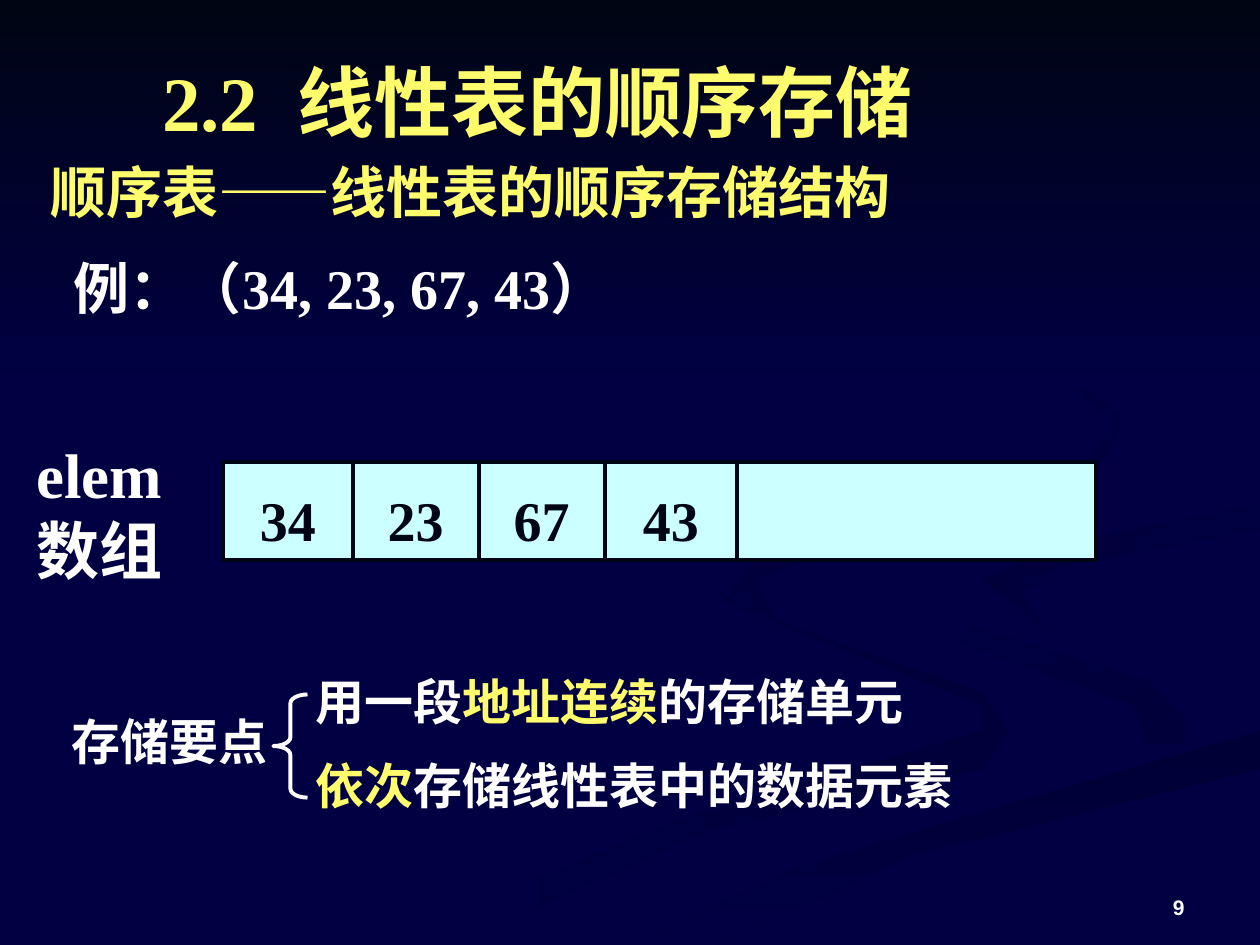
import pptx
import pptx.dml.color
import pptx.enum.shapes
import pptx.enum.text
import pptx.oxml
import pptx.oxml.ns
import pptx.util

Cm = pptx.util.Cm
Pt = pptx.util.Pt
SHAPES = pptx.enum.shapes.MSO_SHAPE
ALIGN = pptx.enum.text.PP_ALIGN
ANCHOR = pptx.enum.text.MSO_ANCHOR

THEME = {
    "night": "000042", "ink": "000514", "shade": "00003A", "deep": "000036",
    "white": "FFFFFF", "yellow": "FEFB6D", "cell": "CCFFFF",
    "serif": "Times New Roman", "sans": "Arial", "chinese": "Noto Sans CJK SC",
    "title": 44, "label": 36, "body": 32, "points": 28, "number": 12,
    "line": 2.25, "leading": 1.2,
}

# Each text: box in cm, type size, paragraphs of (text, colour, font) runs, options
TITLE = ((3.02, 1.09, 17.35, 1.85), "title",
         [[("2.2  线性表的顺序存储", "yellow", "serif")]], {"inset": (0.25, 0)})
SUBTITLE = ((0.76, 3.05, 20.96, 1.63), "body",
            [[("顺序表", "yellow", "chinese"), ("——", "yellow", "serif"),
              ("线性表的顺序存储结构", "yellow", "chinese")]], {})
EXAMPLE = ((1.24, 4.98, 13.72, 1.63), "body",
           [[("例：（34, 23, 67, 43）", "white", "serif")]], {})
ARRAY_LABEL = ((0.48, 8.66, 3.66, 3.3), "label",
               [[("elem", "white", "serif")], [("数组", "white", "serif")]], {"wrap": False})
POINTS_LABEL = ((1.19, 14.22, 4.45, 1.45), "points",
                [[("存储要点", "white", "sans")]], {"wrap": False})
POINTS = ((6.12, 13.41, 16.28, 3.15), "points",
          [[("用一段", "white", "sans"), ("地址连续", "yellow", "sans"), ("的存储单元", "white", "sans")],
           [("依次", "yellow", "sans"), ("存储线性表中的数据元素", "white", "sans")]], {"gap": 14.4})
PAGE_NUMBER = ((18.21, 17.35, 5.92, 1.32), "number", [[("9", "white", "sans")]],
               {"align": ALIGN.RIGHT, "anchor": ANCHOR.BOTTOM})

ARRAY_TOP, ARRAY_HEIGHT = 9.32, 1.98
ARRAY_EDGES = [4.5, 7.11, 9.65, 12.19, 14.86, 22.1]
ARRAY_VALUES = ["34", "23", "67", "43"]
VALUE_TOP = 9.65
BRACE = (5.51, 14, 0.69, 2.08)
SKY = (0, 0, 25.4, 7.82)

# Background swirls: gradient colours, angle, outline on a 100 by 75 grid
GRID_STEP = Cm(0.254)
SWIRLS = [
    (("night", "shade"), 0,
     [(78, 55), (58, 48), (57, 47), (63, 50), (78, 56), (78, 58), (54, 65), (30, 75),
      (36, 75), (56, 66), (78, 61), (80, 58)]),
    (("night", "shade"), 45,
     [(94, 57), (91, 54), (75, 49), (72, 46), (76, 51), (90, 56), (91, 59), (94, 59)]),
    (("deep", "night"), 90,
     [(50, 75), (57, 75), (72, 68), (100, 61), (100, 58), (76, 65), (63, 69)]),
    (("shade", "night"), 45,
     [(78, 46), (83, 50), (81, 47), (84, 45), (100, 42), (100, 40), (85, 43)]),
    (("shade", "night"), 45,
     [(68, 43), (86, 39), (89, 34), (76, 23), (89, 33), (86, 37), (61, 43), (58, 47),
      (62, 50), (60, 46)]),
]


def colour(name):
    return pptx.dml.color.RGBColor.from_string(THEME[name])


def place(box):
    return [Cm(length) for length in box]


def set_gradient(shape, stops, angle):
    shape.shadow.inherit = False
    shape.line.fill.background()
    shape.fill.gradient()
    shape.fill.gradient_angle = (360 - angle) % 360
    for stop, name in zip(shape.fill.gradient_stops, stops):
        stop.color.rgb = colour(name)


def set_line(shape, name):
    shape.line.color.rgb = colour(name)
    shape.line.width = Pt(THEME["line"])


def add_text(slide, box, size, paragraphs, options):
    text_frame = slide.shapes.add_textbox(*place(box)).text_frame
    text_frame.word_wrap = options.get("wrap", True)
    text_frame.vertical_anchor = options.get("anchor", ANCHOR.TOP)
    side, top = options.get("inset", (0.25, 0.13))
    text_frame.margin_left = text_frame.margin_right = Cm(side)
    text_frame.margin_top = text_frame.margin_bottom = Cm(top)
    for index, runs in enumerate(paragraphs):
        paragraph = text_frame.add_paragraph() if index else text_frame.paragraphs[0]
        paragraph.alignment = options.get("align", ALIGN.LEFT)
        paragraph.line_spacing = Pt(THEME[size] * THEME["leading"])
        if index:
            paragraph.space_before = Pt(options.get("gap", 0))
        for text, colour_name, font_name in runs:
            run = paragraph.add_run()
            run.text = text
            run.font.name = THEME[font_name]
            run.font.size = Pt(THEME[size])
            run.font.bold = True
            run.font.color.rgb = colour(colour_name)


def add_background(slide):
    slide.background.fill.solid()
    slide.background.fill.fore_color.rgb = colour("night")
    for stops, angle, outline in SWIRLS:
        builder = slide.shapes.build_freeform(*outline[0], scale=GRID_STEP)
        builder.add_line_segments(outline[1:], close=True)
        set_gradient(builder.convert_to_shape(), stops, angle)
    sky = slide.shapes.add_shape(SHAPES.RECTANGLE, *place(SKY))
    set_gradient(sky, ("ink", "night"), 90)


def add_array(slide):
    left, right = ARRAY_EDGES[0], ARRAY_EDGES[-1]
    frame = slide.shapes.add_shape(
        SHAPES.RECTANGLE, *place((left, ARRAY_TOP, right - left, ARRAY_HEIGHT)))
    frame.shadow.inherit = False
    frame.fill.solid()
    frame.fill.fore_color.rgb = colour("cell")
    set_line(frame, "ink")
    for edge in ARRAY_EDGES[1:-1]:
        divider = slide.shapes.add_connector(
            pptx.enum.shapes.MSO_CONNECTOR.STRAIGHT,
            *place((edge, ARRAY_TOP, edge, ARRAY_TOP + ARRAY_HEIGHT)))
        set_line(divider, "ink")
        divider._element.spPr.append(
            pptx.oxml.parse_xml("<a:effectLst %s/>" % pptx.oxml.ns.nsdecls("a")))
    for value, start, end in zip(ARRAY_VALUES, ARRAY_EDGES, ARRAY_EDGES[1:]):
        add_text(slide, (start, VALUE_TOP, end - start, 1.63), "body",
                 [[(value, "ink", "serif")]], {"inset": (0, 0.13), "align": ALIGN.CENTER})


def add_brace(slide):
    brace = slide.shapes.add_shape(SHAPES.LEFT_BRACE, *place(BRACE))
    brace.shadow.inherit = False
    brace.fill.background()
    brace.adjustments[0] = 0.26
    set_line(brace, "white")


def main():
    presentation = pptx.Presentation()
    presentation.slide_width, presentation.slide_height = Cm(25.4), Cm(19.05)
    slide = presentation.slides.add_slide(presentation.slide_layouts[6])
    add_background(slide)
    for item in (PAGE_NUMBER, SUBTITLE, EXAMPLE):
        add_text(slide, *item)
    add_array(slide)
    for item in (ARRAY_LABEL, TITLE, POINTS_LABEL):
        add_text(slide, *item)
    add_brace(slide)
    add_text(slide, *POINTS)
    presentation.save("out.pptx")


if __name__ == "__main__":
    main()
